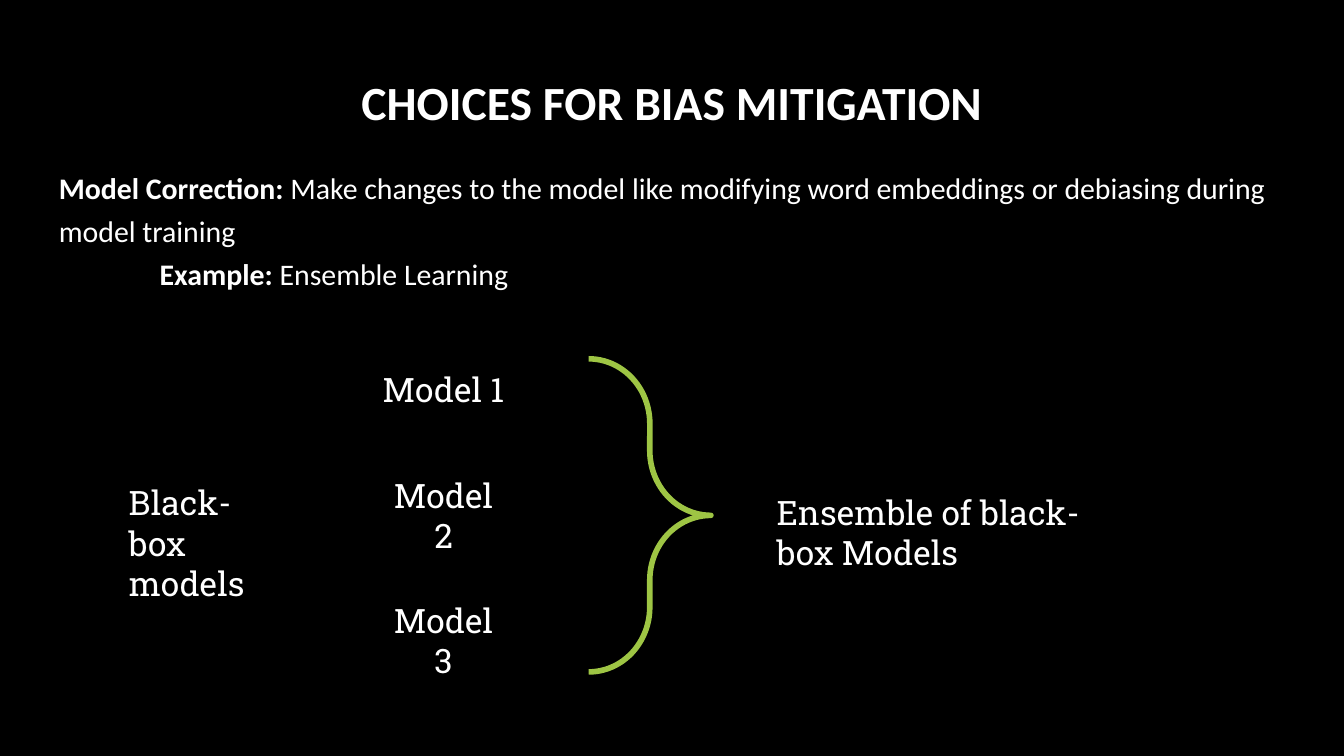
from dataclasses import dataclass

from lxml import etree
from pptx import Presentation
from pptx.dml.color import RGBColor
from pptx.enum.shapes import MSO_SHAPE
from pptx.enum.text import MSO_ANCHOR, PP_ALIGN
from pptx.oxml.ns import qn
from pptx.shapes.autoshape import Shape
from pptx.slide import Slide
from pptx.util import Inches, Pt

ROUNDED_RECTANGLE = MSO_SHAPE.ROUNDED_RECTANGLE
RIGHT_BRACE = MSO_SHAPE.RIGHT_BRACE
LEFT, CENTER = PP_ALIGN.LEFT, PP_ALIGN.CENTER
TOP, MIDDLE = MSO_ANCHOR.TOP, MSO_ANCHOR.MIDDLE
BLACK, WHITE, GREEN = "000000", "FFFFFF", "9EC544"
HEADING_FONT, LABEL_FONT = "Calibri", "Roboto Slab"
SLIDE_WIDTH = 10
SLIDE_HEIGHT = SLIDE_WIDTH * 9 / 16


@dataclass(frozen=True)
class Box:
    left: float
    top: float
    width: float
    height: float

    def lengths(self) -> tuple[Inches, ...]:
        return tuple(
            Inches(value) for value in (self.left, self.top, self.width, self.height)
        )


@dataclass(frozen=True)
class Run:
    text: str
    bold: bool = False


@dataclass(frozen=True)
class Model:
    name: str
    top: float


MODELS = [Model("Model 1", 2.58), Model("Model 2", 3.52), Model("Model 3", 4.45)]


def color(value: str) -> RGBColor:
    return RGBColor.from_string(value)


def write_text(
    shape: Shape,
    paragraphs: list[list[Run]],
    *,
    size: float = 18,
    font: str = LABEL_FONT,
    align: PP_ALIGN = LEFT,
    anchor: MSO_ANCHOR = TOP,
    line_spacing: float = 1.0,
    vertical_inset: float = 0.05,
    tab_stop: float | None = None,
) -> None:
    frame = shape.text_frame
    frame.word_wrap = True
    frame.vertical_anchor = anchor
    frame.margin_left = frame.margin_right = Inches(0.1)
    frame.margin_top = frame.margin_bottom = Inches(vertical_inset)
    for index, runs in enumerate(paragraphs):
        paragraph = frame.add_paragraph() if index else frame.paragraphs[0]
        paragraph.alignment = align
        paragraph.line_spacing = line_spacing
        if tab_stop is not None:
            properties = paragraph._p.get_or_add_pPr()
            tabs = etree.SubElement(properties, qn("a:tabLst"))
            position = str(Inches(tab_stop))
            etree.SubElement(tabs, qn("a:tab"), pos=position, algn="l")
        for item in runs:
            run = paragraph.add_run()
            run.text = item.text
            run.font.name = font
            run.font.size = Pt(size)
            run.font.bold = item.bold
            run.font.color.rgb = color(WHITE)


def add_text(slide: Slide, box: Box, paragraphs: list[list[Run]], **text_format) -> None:
    write_text(slide.shapes.add_textbox(*box.lengths()), paragraphs, **text_format)


def add_model(slide: Slide, model: Model) -> None:
    box = Box(2.69, model.top, 1.22, 0.63)
    shape = slide.shapes.add_shape(ROUNDED_RECTANGLE, *box.lengths())
    shape.shadow.inherit = False
    shape.adjustments[0] = 0.26
    shape.fill.solid()
    shape.fill.fore_color.rgb = color(BLACK)
    shape.line.color.rgb = color(BLACK)
    shape.line.width = Pt(1.5)
    write_text(shape, [[Run(model.name)]], align=CENTER, anchor=MIDDLE)


def add_brace(slide: Slide, box: Box) -> None:
    brace = slide.shapes.add_shape(RIGHT_BRACE, *box.lengths())
    brace.shadow.inherit = False
    brace.adjustments[0] = 0.53
    brace.adjustments[1] = 0.5
    brace.fill.background()
    brace.line.color.rgb = color(GREEN)
    brace.line.width = Pt(3)


def main() -> None:
    presentation = Presentation()
    presentation.slide_width = Inches(SLIDE_WIDTH)
    presentation.slide_height = Inches(SLIDE_HEIGHT)
    slide = presentation.slides.add_slide(presentation.slide_layouts[6])
    slide.background.fill.solid()
    slide.background.fill.fore_color.rgb = color(BLACK)

    add_text(
        slide,
        Box(0.34, 0.49, 9.32, 0.63),
        [[Run("CHOICES FOR BIAS MITIGATION", bold=True)]],
        size=25.5,
        font=HEADING_FONT,
        align=CENTER,
        line_spacing=0.9,
        vertical_inset=0.1,
    )
    correction = [
        Run("Model Correction:", bold=True),
        Run(
            " Make changes to the model like modifying word embeddings"
            " or debiasing during model training"
        ),
    ]
    example = [Run("\tExample: ", bold=True), Run("Ensemble Learning")]
    add_text(
        slide,
        Box(0.34, 1.11, 9.32, 4.43),
        [correction, example],
        size=16,
        font=HEADING_FONT,
        line_spacing=1.2,
        vertical_inset=0.1,
        tab_stop=0.75,
    )
    for model in MODELS:
        add_model(slide, model)
    add_brace(slide, Box(4.38, 2.67, 0.91, 2.33))
    add_text(slide, Box(5.68, 3.61, 2.87, 0.34), [[Run("Ensemble of black-box Models")]])
    add_text(slide, Box(0.86, 3.54, 1.06, 0.57), [[Run("Black-box")], [Run("models")]])

    presentation.save("out.pptx")


if __name__ == "__main__":
    main()
